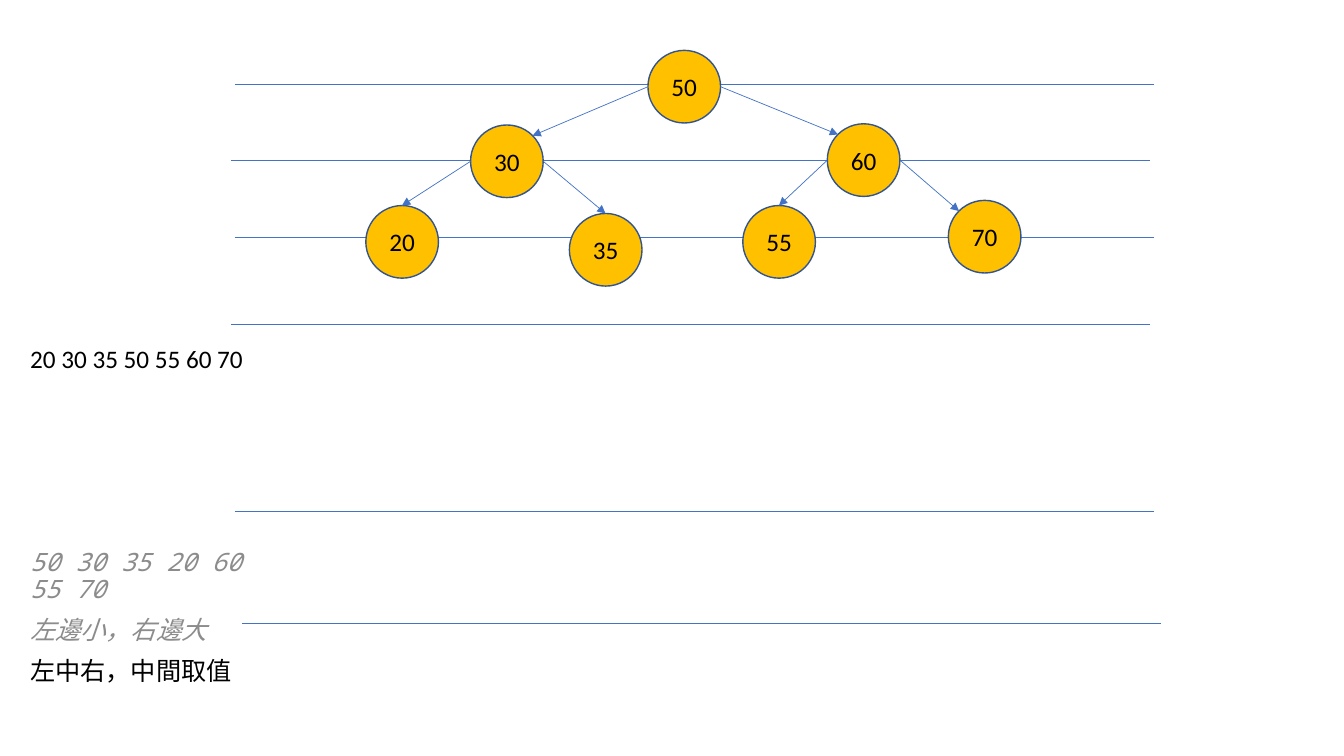
from lxml import etree
from pptx import Presentation
from pptx.dml.color import RGBColor
from pptx.enum.shapes import MSO_CONNECTOR, MSO_SHAPE
from pptx.enum.text import MSO_ANCHOR, PP_ALIGN
from pptx.oxml.ns import qn
from pptx.util import Cm, Pt

STRAIGHT = MSO_CONNECTOR.STRAIGHT
OVAL = MSO_SHAPE.OVAL
MIDDLE = MSO_ANCHOR.MIDDLE
CENTER = PP_ALIGN.CENTER

DIAMETER = 1.83
RULE_WIDTH = 23.17


def color(value):
    return RGBColor.from_string(value)


def add_line(start_x, start_y, end_x, end_y):
    connector = slide.shapes.add_connector(
        STRAIGHT, Cm(start_x), Cm(start_y), Cm(end_x), Cm(end_y))
    connector.line.color.rgb = color("4472C4")
    connector.line.width = Pt(0.5)
    etree.SubElement(connector._element.spPr, qn("a:effectLst"))
    return connector


presentation = Presentation()
presentation.slide_width = Cm(33.87)
presentation.slide_height = Cm(19.05)
slide = presentation.slides.add_slide(presentation.slide_layouts[6])

rules = [(5.92, 2.13), (5.82, 4.04), (5.92, 5.97),
         (5.82, 8.18), (5.92, 12.88), (6.1, 15.72)]
for left, top in rules:
    add_line(left, top, left + RULE_WIDTH, top)

nodes = {
    "50": (16.33, 1.27),
    "30": (11.86, 3.15),
    "60": (20.85, 3.12),
    "20": (9.22, 5.18),
    "35": (14.35, 5.38),
    "55": (18.72, 5.18),
    "70": (23.9, 5.05),
}
for label, (left, top) in nodes.items():
    shape = slide.shapes.add_shape(
        OVAL, Cm(left), Cm(top), Cm(DIAMETER), Cm(DIAMETER))
    shape.shadow.inherit = False
    shape.fill.solid()
    shape.fill.fore_color.rgb = color("FFC000")
    shape.line.color.rgb = color("325491")
    shape.line.width = Pt(1)
    shape.text_frame.vertical_anchor = MIDDLE
    paragraph = shape.text_frame.paragraphs[0]
    paragraph.text = label
    paragraph.alignment = CENTER
    paragraph.font.size = Pt(18)
    paragraph.font.name = "Calibri"
    paragraph.font.color.rgb = color("000000")

top_left, top_center, top_right = (0.27, 0.27), (0.91, 0), (1.56, 0.27)
edges = [
    ("50", "30", top_right), ("50", "60", top_left),
    ("30", "20", top_center), ("30", "35", top_center),
    ("60", "55", top_center), ("60", "70", top_left),
]
for parent, child, (offset_x, offset_y) in edges:
    parent_x, parent_y = nodes[parent]
    child_x, child_y = nodes[child]
    if child_x > parent_x:
        parent_x += DIAMETER
    arrow = add_line(parent_x, parent_y + DIAMETER / 2,
                     child_x + offset_x, child_y + offset_y)
    etree.SubElement(arrow.line._get_or_add_ln(), qn("a:tailEnd"), type="triangle")

notes = [
    (8.61, [("20 30 35 50 55 60 70", "Calibri", "000000", False)]),
    (13.72, [
        ("50 30 35 20 60 55 70", "Noto Sans Mono", "8C8C8C", True),
        ("左邊小，右邊大", "Noto Sans CJK TC", "8C8C8C", True),
        ("左中右，中間取值", "Calibri", "000000", False),
    ]),
]
for top, lines in notes:
    box = slide.shapes.add_textbox(Cm(0.51), Cm(top), Cm(6.76), Cm(4.6))
    frame = box.text_frame
    frame.word_wrap = True
    for index, (text, font_name, text_color, italic) in enumerate(lines):
        paragraph = frame.add_paragraph() if index else frame.paragraphs[0]
        paragraph.text = text
        paragraph.line_spacing = 0.9
        if index:
            paragraph.space_before = Pt(10)
        font = paragraph.font
        font.size = Pt(18)
        font.name = font_name
        font.italic = italic
        font.color.rgb = color(text_color)
        properties = paragraph._p.pPr.find(qn("a:defRPr"))
        etree.SubElement(properties, qn("a:ea"), typeface="Noto Sans CJK TC")

presentation.save("out.pptx")
